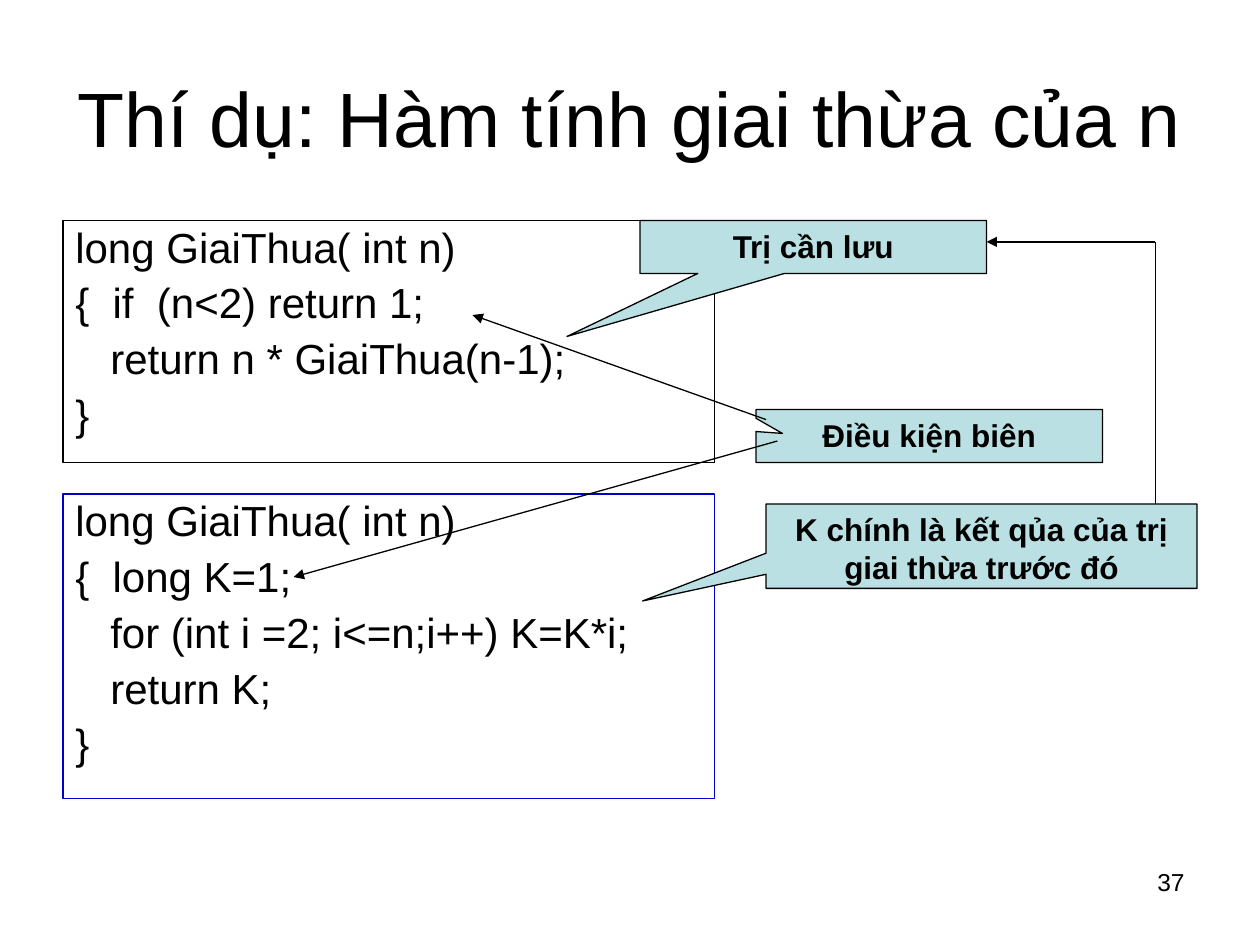
from pptx import Presentation
from pptx import util as u
from pptx.dml import color
from pptx.enum import shapes, text
from pptx.oxml import ns
from lxml import etree

COLORS = {"ink": "000000", "iteration": "0000CC", "callout": "BBE0E3"}
FONT = "Arial"
RECURSIVE_CODE = [
    "long GiaiThua( int n)",
    "{  if  (n<2) return 1;",
    "   return n * GiaiThua(n-1);",
    "}",
]
ITERATIVE_CODE = [
    "long GiaiThua( int n)",
    "{  long K=1;",
    "   for (int i =2; i<=n;i++) K=K*i;",
    "   return K;",
    "}",
]


def rgb(name):
    return color.RGBColor.from_string(COLORS[name])


def inches(values):
    return [u.Inches(value) for value in values]


def write(shape, lines, size, align, bold=False, anchor=text.MSO_ANCHOR.TOP):
    frame = shape.text_frame
    frame.word_wrap = True
    frame.vertical_anchor = anchor
    frame.text = "\n".join(lines)
    for para in frame.paragraphs:
        para.alignment = align
        para.font.name = FONT
        para.font.size = u.Pt(size)
        para.font.bold = bold
        para.font.color.rgb = rgb("ink")
    return frame


def add_label(page, box, label, size, align, anchor=text.MSO_ANCHOR.TOP):
    shape = page.shapes.add_textbox(*inches(box))
    write(shape, [label], size, align, anchor=anchor)


def add_outlined(page, kind, box, line_color):
    shape = page.shapes.add_shape(kind, *inches(box))
    shape.shadow.inherit = False
    shape.line.color.rgb = rgb(line_color)
    shape.line.width = u.Pt(0.75)
    return shape


def add_code(page, box, lines, line_color):
    shape = add_outlined(page, shapes.MSO_SHAPE.RECTANGLE, box, line_color)
    shape.fill.background()
    frame = write(shape, lines, 24, text.PP_ALIGN.LEFT)
    for para in frame.paragraphs:
        para.line_spacing = 0.9
        para.space_before = u.Pt(6)
        properties = para._p.get_or_add_pPr()
        properties.set("marL", str(u.Inches(0.38)))
        properties.set("indent", str(u.Inches(-0.38)))


def add_callout(page, box, label, tip):
    left, top, width, height = box
    shape = add_outlined(page, shapes.MSO_SHAPE.RECTANGULAR_CALLOUT, box, "ink")
    shape.fill.solid()
    shape.fill.fore_color.rgb = rgb("callout")
    shape.adjustments[0] = (tip[0] - left) / width - 0.5
    shape.adjustments[1] = (tip[1] - top) / height - 0.5
    write(shape, [label], 18, text.PP_ALIGN.CENTER, bold=True)


def add_line(page, start, end, arrow=True):
    line = page.shapes.add_connector(
        shapes.MSO_CONNECTOR.STRAIGHT, *inches(start + end))
    line.line.color.rgb = rgb("ink")
    line.line.width = u.Pt(0.75)
    if arrow:
        etree.SubElement(line.line._get_or_add_ln(), ns.qn("a:tailEnd"), type="triangle")
    etree.SubElement(line._element.spPr, ns.qn("a:effectLst"))


def build_slide(page):
    left, width = 0.5, 5.17
    corner = (9.17, 1.92)
    add_label(page, (left, 0.3, 9, 1.25), "Thí dụ: Hàm tính giai thừa của n",
              44, text.PP_ALIGN.CENTER, text.MSO_ANCHOR.MIDDLE)
    add_code(page, (left, 1.75, width, 1.92), RECURSIVE_CODE, "ink")
    add_callout(page, (5.08, 1.75, 2.75, 0.42), "Trị cần lưu", (4.5, 2.67))
    add_code(page, (left, 3.92, width, 2.42), ITERATIVE_CODE, "iteration")
    add_callout(page, (6, 3.25, 2.75, 0.42), "Điều kiện biên", (6.21, 3.44))
    add_line(page, (6.08, 3.33), (3.75, 2.5))
    add_line(page, (6.17, 3.5), (2.33, 4.58))
    add_callout(page, (6.08, 4, 3.42, 0.67),
                "K chính là kết qủa của trị giai thừa trước đó", (5.1, 4.77))
    add_line(page, (corner[0], 4), corner, arrow=False)
    add_line(page, corner, (7.83, corner[1]))
    add_label(page, (7.17, 6.83, 2.33, 0.52), "37", 14, text.PP_ALIGN.RIGHT)


def main():
    deck = Presentation()
    deck.slide_width, deck.slide_height = inches((10, 7.5))
    build_slide(deck.slides.add_slide(deck.slide_layouts[6]))
    deck.save("out.pptx")


if __name__ == "__main__":
    main()
